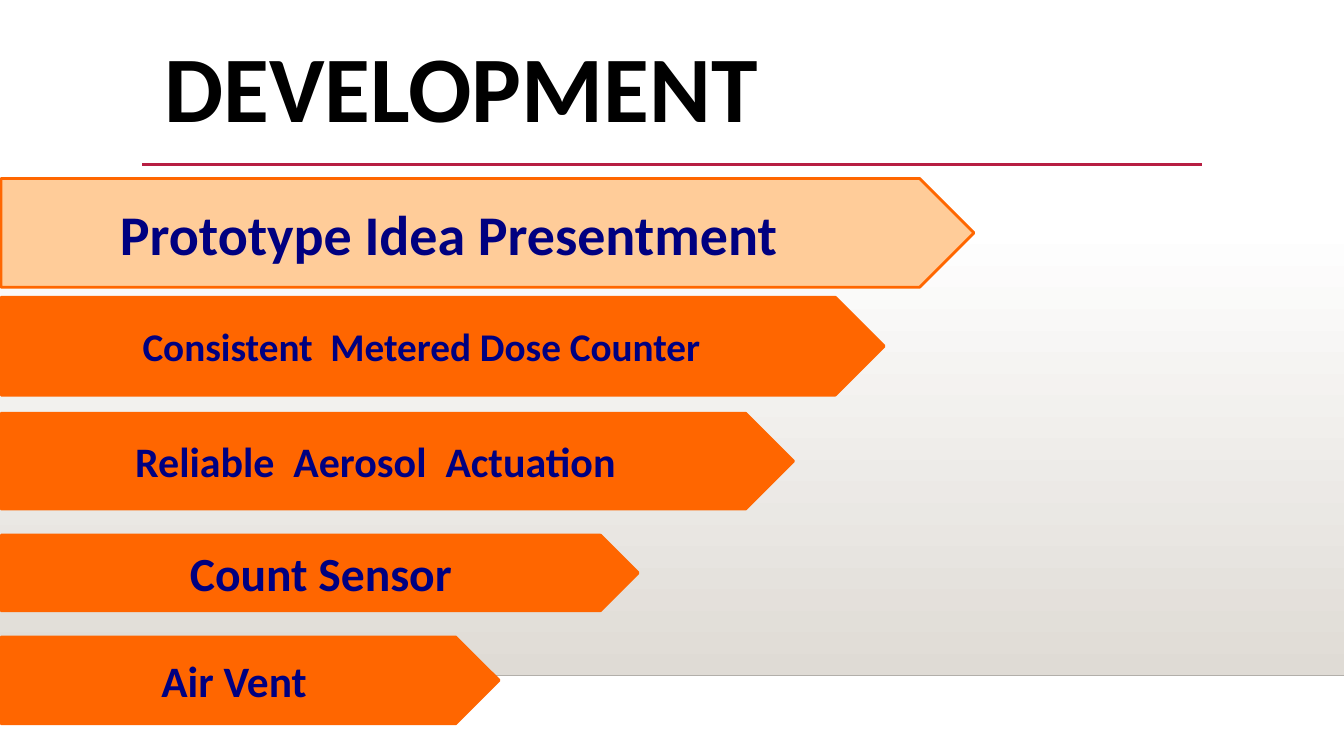
from dataclasses import dataclass

from lxml.etree import SubElement
from pptx import Presentation
from pptx.dml.color import RGBColor
from pptx.enum.shapes import MSO_CONNECTOR as Connector, MSO_SHAPE as Preset
from pptx.enum.text import MSO_ANCHOR as Anchor, PP_ALIGN as Align
from pptx.oxml.ns import qn
from pptx.util import Inches, Pt


@dataclass(frozen=True)
class Theme:
    font: str = "Calibri"
    ink: str = "000000"
    label: str = "000080"
    bar: str = "FF6600"
    lead_bar: str = "FFCC99"
    accent: str = "B71E42"
    paper: str = "FFFFFF"
    shade: str = "DFDBD5"
    floor_line: str = "B2AFAA"
    title_size: int = 67
    bar_sizes: tuple = (40, 28, 30, 34, 31)
    inset: float = 0.1


@dataclass(frozen=True)
class Box:
    left: float
    top: float
    width: float
    height: float

    def area(self, left, top, width, height):
        """Box inside this one, on a grid of 100 columns by 100 rows."""
        return Box(self.left + self.width * left / 100,
                   self.top + self.height * top / 100,
                   self.width * width / 100, self.height * height / 100)

    def place(self):
        return [Inches(value) for value in (self.left, self.top, self.width, self.height)]


THEME = Theme()
PAGE = Box(0, 0, 13.33, 7.5)

# label, top, width and height in the bar region, left and right indent in inches
BARS = [
    ("Prototype Idea Presentment", 0, 100, 19.96, 0, 0.5),
    ("Consistent  Metered Dose Counter", 21.81, 90.78, 17.93, 0, 0.18),
    ("Reliable  Aerosol  Actuation", 43.07, 81.45, 17.56, 0, 0.19),
    ("Count Sensor", 65.43, 65.49, 13.86, 0.21, 0),
    ("Air Vent", 84.1, 51.19, 15.9, 0, 0.1),
]


def color(name):
    return RGBColor.from_string(name)


def add_text(frame, text, size, ink, align):
    frame.vertical_anchor = Anchor.MIDDLE
    paragraph = frame.paragraphs[0]
    paragraph.alignment = align
    run = paragraph.add_run()
    run.text = text
    run.font.name = THEME.font
    run.font.size = Pt(size)
    run.font.bold = True
    run.font.color.rgb = color(ink)
    return paragraph


def add_rule(slide, box, ink, weight):
    left, top, width, _ = box.place()
    line = slide.shapes.add_connector(Connector.STRAIGHT, left, top, left + width, top)
    line.line.color.rgb = color(ink)
    line.line.width = Pt(weight)
    SubElement(line.element.spPr, qn("a:effectLst"))


def add_backdrop(slide, box):
    # Shade that deepens towards the floor
    panel = slide.shapes.add_shape(Preset.RECTANGLE, *box.place())
    panel.shadow.inherit = False
    panel.line.fill.background()
    panel.fill.gradient()
    panel.fill.gradient_angle = 270
    for stop, name in zip(panel.fill.gradient_stops, (THEME.paper, THEME.shade)):
        stop.color.rgb = color(name)
    add_rule(slide, box.area(0, 100, 100, 0), THEME.floor_line, 1)


def add_heading(slide, box):
    # Title with a rule below it
    add_rule(slide, box.area(0, 100, 100, 0), THEME.accent, 2.5)
    title = slide.shapes.add_textbox(*box.area(1.14, 0, 98.86, 89.15).place())
    title.text_frame.word_wrap = True
    paragraph = add_text(title.text_frame, "DEVELOPMENT", THEME.title_size,
                         THEME.ink, Align.LEFT)
    paragraph.line_spacing = 0.9


def add_bars(slide, box):
    # Stack of arrows, the first one paler than the rest
    for index, (label, top, width, height, indent_left, indent_right) in enumerate(BARS):
        bar = slide.shapes.add_shape(Preset.PENTAGON, *box.area(0, top, width, height).place())
        bar.shadow.inherit = False
        bar.fill.solid()
        bar.fill.fore_color.rgb = color(THEME.bar if index else THEME.lead_bar)
        bar.line.color.rgb = color(THEME.bar)
        bar.line.width = Pt(2)
        frame = bar.text_frame
        frame.word_wrap = True
        frame.margin_left = Inches(THEME.inset + indent_left)
        frame.margin_right = Inches(THEME.inset + indent_right)
        add_text(frame, label, THEME.bar_sizes[index], THEME.label, Align.CENTER)


def main():
    presentation = Presentation()
    presentation.slide_width = Inches(PAGE.width)
    presentation.slide_height = Inches(PAGE.height)
    slide = presentation.slides.add_slide(presentation.slide_layouts[6])
    add_backdrop(slide, PAGE.area(0, 29.47, 100, 59.87))
    add_heading(slide, PAGE.area(10.58, 4.53, 78.84, 17.2))
    add_bars(slide, PAGE.area(0.08, 23.6, 72.39, 72.13))
    presentation.save("out.pptx")


if __name__ == "__main__":
    main()
